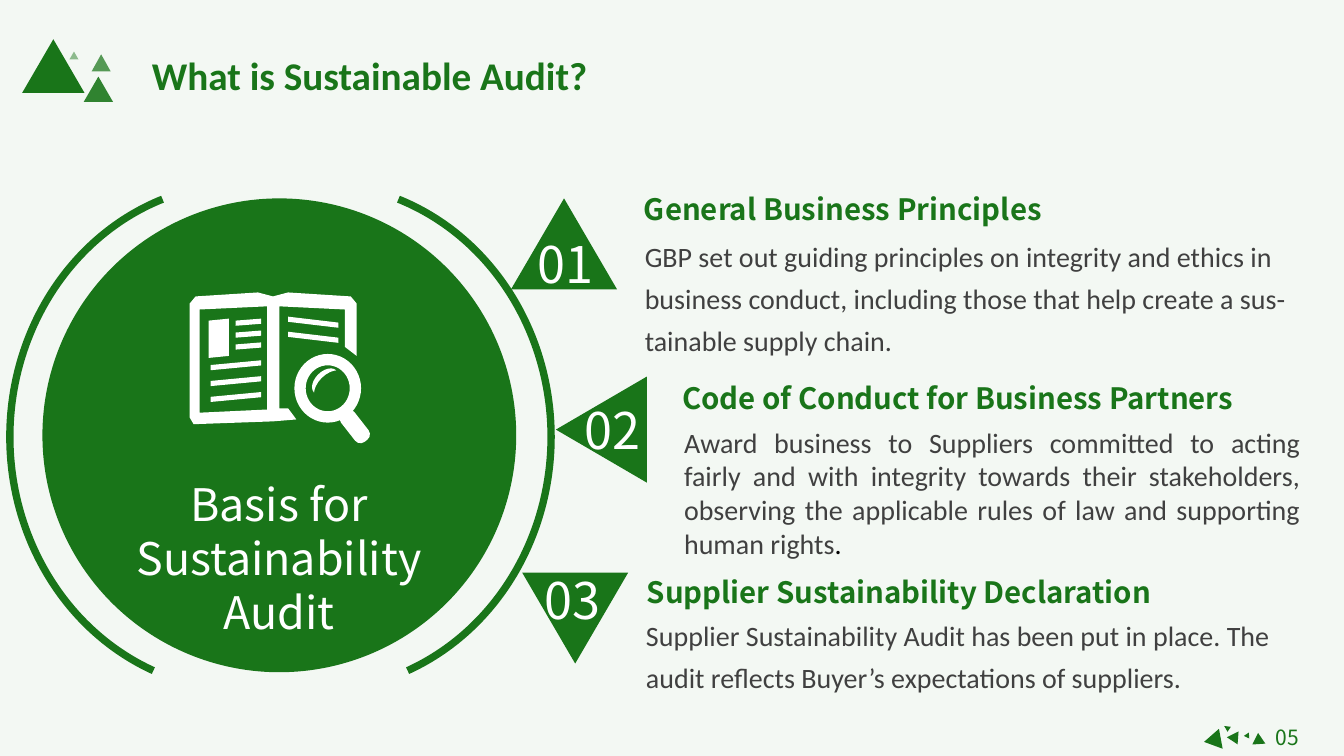
from dataclasses import dataclass

from lxml.etree import SubElement
from pptx import Presentation
from pptx.dml.color import RGBColor
from pptx.enum.shapes import MSO_SHAPE as Preset
from pptx.enum.text import MSO_AUTO_SIZE as AutoSize, PP_ALIGN as Align
from pptx.oxml.ns import qn
from pptx.util import Cm, Pt


@dataclass(frozen=True)
class Theme:
    green: RGBColor = RGBColor.from_string("197519")
    paper: RGBColor = RGBColor.from_string("F3F8F3")
    white: RGBColor = RGBColor.from_string("FFFFFF")
    grey: RGBColor = RGBColor.from_string("404040")
    black: RGBColor = RGBColor.from_string("000000")
    body_font: str = "Calibri"
    display_font: str = "Noto Sans CJK SC"
    title: Pt = Pt(28)
    heading: Pt = Pt(21)
    body: Pt = Pt(20)
    topic: Pt = Pt(32)
    number: Pt = Pt(36)
    page: Pt = Pt(15)
    arc: Pt = Pt(5.25)


theme = Theme()
deck = Presentation()
deck.slide_width, deck.slide_height = Cm(33.87), Cm(19.05)
slide = deck.slides.add_slide(deck.slide_layouts[6])
slide.background.fill.solid()
slide.background.fill.fore_color.rgb = theme.paper


def add_solid(preset, box, rotation=0, opacity=100, color=theme.green):
    solid = slide.shapes.add_shape(preset, *map(Cm, box))
    solid.shadow.inherit = False
    solid.rotation = rotation
    solid.fill.solid()
    solid.fill.fore_color.rgb = color
    solid.line.fill.background()
    if opacity < 100:
        tint = solid._element.spPr.find(f".//{qn('a:srgbClr')}")
        SubElement(tint, qn("a:alpha"), val=str(opacity * 1000))
    return solid


def add_text(box, words, size, color, font=theme.display_font, bold=False,
             align=Align.LEFT, spacing=None, wrap=True):
    frame = slide.shapes.add_textbox(*map(Cm, box)).text_frame
    frame.word_wrap = wrap
    frame.auto_size = AutoSize.SHAPE_TO_FIT_TEXT
    paragraph = frame.paragraphs[0]
    paragraph.text = words
    paragraph.alignment = align
    paragraph.line_spacing = spacing
    paragraph.font.size = size
    paragraph.font.name = font
    paragraph.font.bold = bold
    paragraph.font.color.rgb = color
    return paragraph


footer_triangles = [
    ((30.96, 18.49, 0.33, 0.28), 153.9),
    ((30.30, 18.44, 0.51, 0.43), 259.5),
    ((31.55, 18.47, 0.33, 0.28), 356.2),
    ((30.84, 18.26, 0.15, 0.15), 303.5),
    ((31.37, 18.49, 0.15, 0.13), 145.8),
]
for box, rotation in footer_triangles:
    add_solid(Preset.ISOSCELES_TRIANGLE, box, rotation)
add_text((31.57, 18.14, 1.73, 0.89), "05", theme.page, theme.green, align=Align.CENTER)

header_triangles = [
    ((0.56, 0.99, 1.57, 1.35), 100),
    ((2.11, 1.93, 0.74, 0.64), 89),
    ((1.75, 1.30, 0.23, 0.20), 47),
    ((2.31, 1.37, 0.48, 0.43), 72),
]
for box, opacity in header_triangles:
    add_solid(Preset.ISOSCELES_TRIANGLE, box, opacity=opacity)
add_text((3.56, 1.17, 11.51, 1.45), "What is Sustainable Audit?", theme.title, theme.green,
         theme.body_font, bold=True, align=Align.CENTER, wrap=False)

for left, start, end in [(2.08, 288.96, 68.77), (0.25, 111.23, 251.04)]:
    ring = slide.shapes.add_shape(Preset.ARC, Cm(left), Cm(4.62), Cm(11.81), Cm(12.78))
    ring.shadow.inherit = False
    ring.adjustments[0] = start * 0.6
    ring.adjustments[1] = end * 0.6
    ring.fill.background()
    ring.line.color.rgb = theme.green
    ring.line.width = theme.arc

add_solid(Preset.OVAL, (1.07, 5, 11.94, 11.94))

cover = [(4.78, 7.65), (4.93, 7.47), (6.5, 7.37), (6.88, 7.47), (7.26, 7.37), (8.84, 7.47),
         (8.99, 7.65), (8.99, 8.97), (8.69, 8.74), (8.69, 7.8), (7.04, 7.72), (7.04, 10.29),
         (7.26, 10.29), (7.47, 10.57), (6.88, 10.62), (4.88, 10.69), (4.78, 10.52)]
left_page = (5.03, 6.73, 7.8, -0.08, 2.6)
page_photo = (5.26, 5.77, 8.08, -0.05, 0.94)
short_lines = [(5.94, 6.58, 8.08 + 0.3 * row, -0.05, 0.13) for row in range(3)]
long_lines = [(5.31, 6.58, 9.2 + 0.4 * row, -0.12, 0.13) for row in range(3)]
right_lines = [(7.26, 8.53, 7.98 + 0.38 * row, 0.15, 0.13) for row in range(2)]

contours = [cover]
for left, right, top, slope, depth in [left_page, page_photo, *short_lines, *long_lines,
                                       *right_lines]:
    contours.append([(left, top), (right, top + slope),
                     (right, top + slope + depth), (left, top + depth)])
outline = slide.shapes.build_freeform(*map(Cm, cover[0]))
for contour in contours:
    first, *rest = [(Cm(x), Cm(y)) for x, y in contour]
    if contour is not cover:
        outline.move_to(*first)
    outline.add_line_segments(rest, close=True)
book = outline.convert_to_shape()
book.shadow.inherit = False
book.fill.solid()
book.fill.fore_color.rgb = theme.white
book.line.fill.background()

lens = add_solid(Preset.DONUT, (7.42, 8.92, 1.68, 1.73), color=theme.white)
lens.adjustments[0] = 0.17
add_solid(Preset.MOON, (7.98, 9.13, 0.25, 0.79), 45, color=theme.white)
handle = add_solid(Preset.ROUNDED_RECTANGLE, (8.48, 10.53, 0.92, 0.43), 52, color=theme.white)
handle.adjustments[0] = 0.4

add_text((2.77, 11.89, 8.53, 4.37), "Basis for Sustainability Audit", theme.topic, theme.white,
         align=Align.CENTER)

badges = [
    ("01", (12.88, 5.00), 0, (12.98, 5.74)),
    ("02", (13.82, 9.68), 270, (14.17, 9.93)),
    ("03", (13.16, 14.43), 180, (13.16, 14.22)),
]
for number, corner, rotation, number_corner in badges:
    add_solid(Preset.ISOSCELES_TRIANGLE, (*corner, 2.67, 2.29), rotation)
    add_text((*number_corner, 2.54, 1.80), number, theme.number, theme.white, align=Align.CENTER)

principles = [
    ("General Business Principles", (15.98, 4.70, 10.97, 1.14),
     "GBP set out guiding principles on integrity and ethics in business conduct, "
     "including those that help create a sus-tainable supply chain.",
     (16.00, 5.69, 16.76, 3.45), Align.LEFT, 1.25, ""),
    ("Code of Conduct for Business Partners", (16.94, 9.45, 16.05, 1.14),
     "Award business to Suppliers committed to acting fairly and with integrity towards their "
     "stakeholders, observing the applicable rules of law and supporting human rights",
     (16.99, 10.59, 16.03, 3.68), Align.JUSTIFY, None, "."),
    ("Supplier Sustainability Declaration", (16.05, 14.33, 16.69, 1.14),
     "Supplier Sustainability Audit has been put in place. "
     "The audit reflects Buyer’s expectations of suppliers.",
     (16.03, 15.24, 16.48, 2.31), Align.LEFT, 1.25, ""),
]
for heading, heading_box, details, details_box, align, spacing, full_stop in principles:
    add_text(heading_box, heading, theme.heading, theme.green, bold=True)
    statement = add_text(details_box, details, theme.body, theme.grey, theme.body_font,
                         align=align, spacing=spacing)
    if full_stop:
        ending = statement.add_run()
        ending.text = full_stop
        ending.font.color.rgb = theme.black

deck.save("out.pptx")
